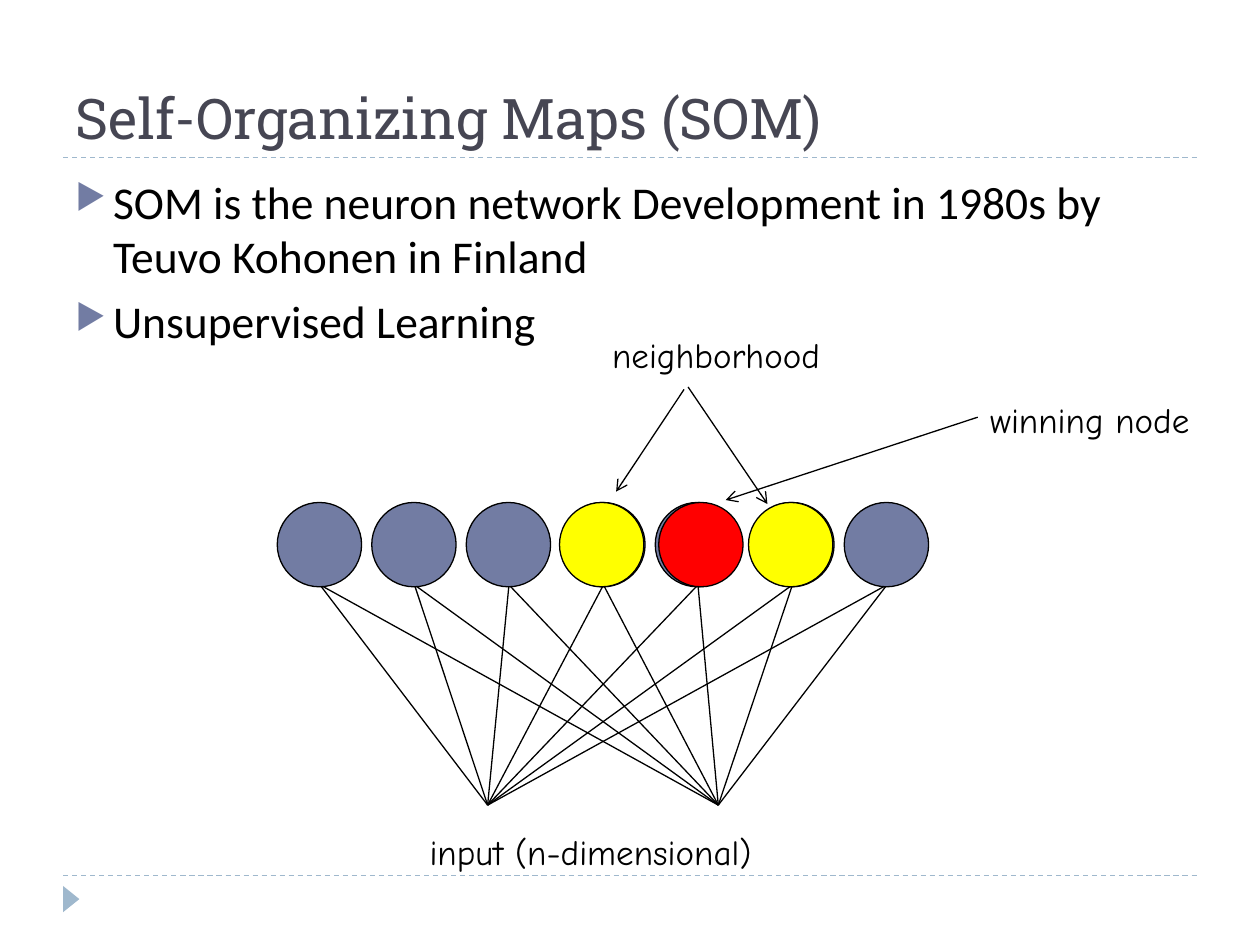
from dataclasses import dataclass
from lxml.etree import SubElement
from pptx import Presentation
from pptx.dml.color import RGBColor as RGB
from pptx.enum.dml import MSO_LINE_DASH_STYLE as DASH
from pptx.enum.shapes import MSO_CONNECTOR as CONN, MSO_SHAPE as SHAPE
from pptx.enum.text import MSO_ANCHOR as ANCHOR
from pptx.oxml.ns import qn
from pptx.util import Cm, Pt


@dataclass(frozen=True)
class Theme:
    title: str = "464653"
    ink: str = "000000"
    node: str = "727CA3"
    rule: str = "9FB8CD"
    winner: str = "FF0000"
    neighbor: str = "FFFF00"
    title_font: str = "Roboto Slab"
    body_font: str = "Calibri"
    label_font: str = "Comic Neue"
    title_size: int = 32
    body_size: int = 26
    label_size: int = 20
    line: float = 0.75


T = Theme()
NODE_COUNT = 7
NODE_SIZE = 1.7
NODE_LEFT = 5.59
NODE_TOP = 10.13
NODE_STEP = 1.905
LINK_LEFT = 6.45
LINK_TOP = 11.79
INPUTS = (9.83, 14.48)
INPUT_Y = 16.23


def add_line(s, x1, y1, x2, y2, color=T.ink, dash=None, arrow=False):
    c = s.shapes.add_connector(CONN.STRAIGHT, Cm(x1), Cm(y1), Cm(x2), Cm(y2))
    c.line.color.rgb = RGB.from_string(color)
    c.line.width = Pt(T.line)
    if dash:
        c.line.dash_style = dash
    if arrow:
        SubElement(c.line._get_or_add_ln(), qn("a:tailEnd"), type="arrow")
    SubElement(c._element.spPr, qn("a:effectLst"))


def add_shape(s, kind, x, y, w, h, fill, outlined=True):
    sp = s.shapes.add_shape(kind, Cm(x), Cm(y), Cm(w), Cm(h))
    sp.shadow.inherit = False
    sp.fill.solid()
    sp.fill.fore_color.rgb = RGB.from_string(fill)
    if outlined:
        sp.line.color.rgb = RGB.from_string(T.ink)
        sp.line.width = Pt(T.line)
    else:
        sp.line.fill.background()
    return sp


def add_node(s, x, fill):
    add_shape(s, SHAPE.OVAL, x, NODE_TOP, NODE_SIZE, NODE_SIZE, fill)


def add_box(s, x, y, w, h, wrap=True):
    tf = s.shapes.add_textbox(Cm(x), Cm(y), Cm(w), Cm(h)).text_frame
    tf.word_wrap = wrap
    return tf


def add_run(p, text, font, size, color):
    r = p.add_run()
    r.text = text
    r.font.name = font
    r.font.size = Pt(size)
    r.font.color.rgb = RGB.from_string(color)


def add_label(s, text, x, y, w):
    tf = add_box(s, x, y, w, 1.1, wrap=False)
    add_run(tf.paragraphs[0], text, T.label_font, T.label_size, T.ink)


def add_title(s, text):
    tf = add_box(s, 1.27, 0.43, 22.86, 2.74)
    tf.vertical_anchor = ANCHOR.BOTTOM
    add_run(tf.paragraphs[0], text, T.title_font, T.title_size, T.title)


def set_bullet(p):
    pPr = p._p.get_or_add_pPr()
    pPr.set("marL", str(Cm(0.76)))
    pPr.set("indent", str(-Cm(0.76)))
    color = SubElement(pPr, qn("a:buClr"))
    SubElement(color, qn("a:srgbClr"), val=T.node)
    SubElement(pPr, qn("a:buSzPct"), val="76000")
    SubElement(pPr, qn("a:buChar"), char="▶")


def add_bullets(s, items):
    tf = add_box(s, 1.27, 3.38, 22.86, 13.72)
    for i, text in enumerate(items):
        p = tf.add_paragraph() if i else tf.paragraphs[0]
        p.space_before = Pt(6)
        set_bullet(p)
        add_run(p, text, T.body_font, T.body_size, T.ink)


def add_frame(s):
    for y in (17.65, 3.18):
        add_line(s, 1.27, y, 24.13, y, T.rule, DASH.DASH)
    marker = add_shape(s, SHAPE.ISOSCELES_TRIANGLE, 1.17, 17.96, 0.53, 0.33, T.rule, False)
    marker.rotation = 90


def add_network(s):
    for input_x in INPUTS:
        for i in range(NODE_COUNT):
            add_line(s, LINK_LEFT + i * NODE_STEP, LINK_TOP, input_x, INPUT_Y)
    for i in range(NODE_COUNT):
        add_node(s, NODE_LEFT + i * NODE_STEP, T.node)
    for x, fill in ((13.28, T.winner), (11.28, T.neighbor), (15.09, T.neighbor)):
        add_node(s, x, fill)


def add_callouts(s):
    add_label(s, "input (n-dimensional)", 8.41, 16.61, 7.32)
    add_label(s, "winning node", 19.71, 7.9, 4.62)
    add_label(s, "neighborhood", 12.09, 6.6, 5.31)
    add_line(s, 19.71, 8.41, 14.63, 10.08, arrow=True)
    add_line(s, 13.79, 7.85, 12.42, 9.91, arrow=True)
    add_line(s, 13.87, 7.8, 15.47, 10.16, arrow=True)


def main():
    prs = Presentation()
    prs.slide_width, prs.slide_height = Cm(25.4), Cm(19.05)
    s = prs.slides.add_slide(prs.slide_layouts[6])
    add_frame(s)
    add_title(s, "Self-Organizing Maps (SOM)")
    add_bullets(s, (
        "SOM is the neuron network Development in 1980s by Teuvo Kohonen in Finland",
        "Unsupervised Learning",
    ))
    add_network(s)
    add_callouts(s)
    prs.save("out.pptx")


if __name__ == "__main__":
    main()
